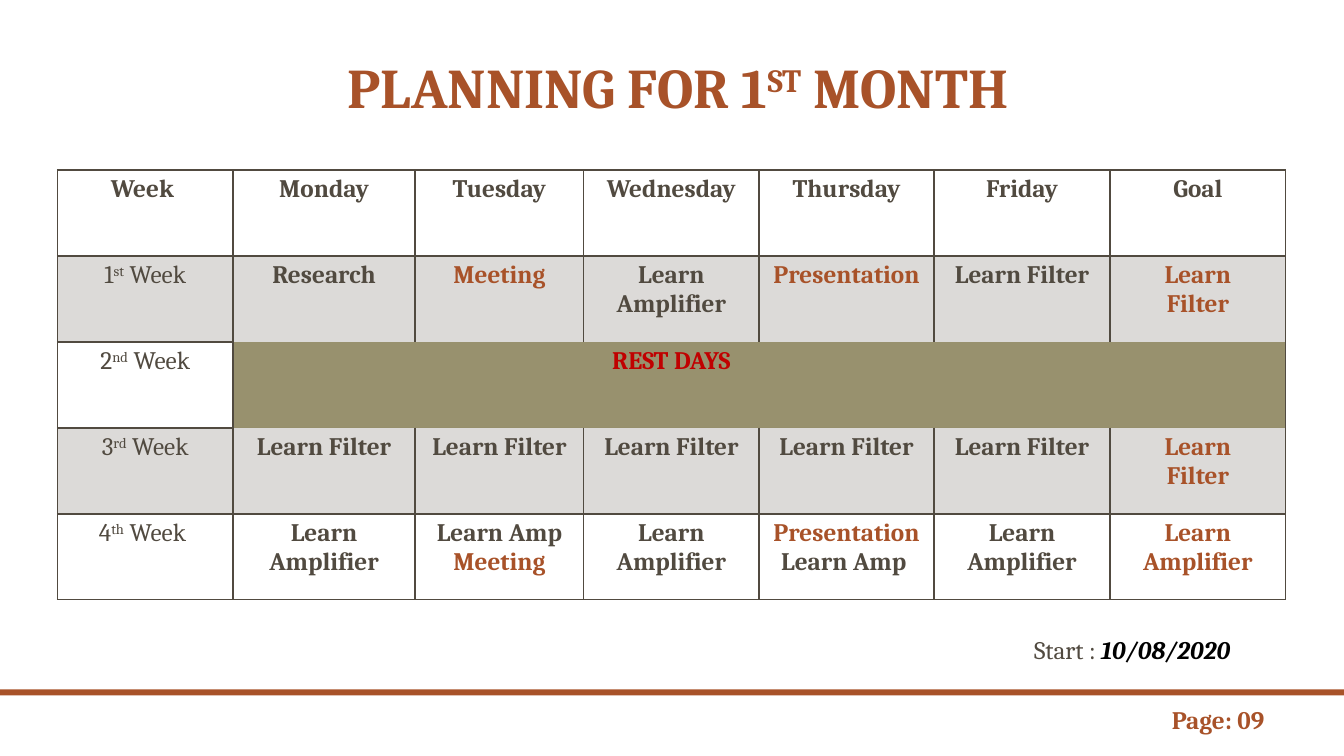
from dataclasses import dataclass

from lxml import etree
from pptx import Presentation
from pptx.dml.color import RGBColor
from pptx.enum.shapes import MSO_SHAPE
from pptx.enum.text import MSO_ANCHOR, PP_ALIGN
from pptx.oxml.ns import qn
from pptx.util import Pt

RECT = MSO_SHAPE.RECTANGLE
CENTER, LEFT = PP_ALIGN.CENTER, PP_ALIGN.LEFT
TOP, BOTTOM = MSO_ANCHOR.TOP, MSO_ANCHOR.BOTTOM


@dataclass(frozen=True)
class Theme:
    font: str = "Cambria"
    ink: str = "514A40"
    accent: str = "A85229"
    olive: str = "98916E"
    red: str = "C00000"
    black: str = "000000"
    title: int = 40
    body: int = 18
    band_alpha: int = 20


THEME = Theme()

COLUMN_WIDTHS = [125.5, 130, 120.5, 125.25, 125, 125.75, 125.5]
ROW_HEIGHT = 61.4
DAYS = ["Week ", "Monday", "Tuesday", "Wednesday", "Thursday", "Friday", "Goal"]
# Week number, ordinal suffix, then the entries; a line break starts a paragraph
WEEKS = [
    ("1", "st", " Week", ["Research", "Meeting", "Learn Amplifier", "Presentation",
                          "Learn Filter", "Learn\nFilter"]),
    ("2", "nd", " Week", ["", "", "REST DAYS", "", "", ""]),
    ("3", "rd", " Week", ["Learn Filter"] * 5 + ["Learn\nFilter"]),
    ("4", "th", " Week ", ["Learn Amplifier", "Learn Amp\nMeeting", "Learn Amplifier",
                           "Presentation\nLearn Amp ", "Learn Amplifier",
                           "Learn\nAmplifier"]),
]
HEADER_ROW, FIRST_ROW, REST_ROW, THIRD_ROW = range(4)
BAND_ROWS = (FIRST_ROW, THIRD_ROW)
GOAL_COL = len(DAYS) - 1
EVENTS = ("Meeting", "Presentation")


def add_run(p, text, color, size=THEME.body, bold=False, italic=False, raised=False):
    r = p.add_run()
    r.text = text
    font = r.font
    font.name, font.size = THEME.font, Pt(size)
    font.bold, font.italic = bold, italic
    font.color.rgb = RGBColor.from_string(color)
    if raised:
        font._element.set("baseline", "30000")


def add_text(slide, left, top, width, height, align=LEFT, anchor=TOP):
    """Add an empty text box and return its first paragraph."""
    tf = slide.shapes.add_textbox(Pt(left), Pt(top), Pt(width), Pt(height)).text_frame
    tf.word_wrap = True
    tf.vertical_anchor = anchor
    p = tf.paragraphs[0]
    p.alignment = align
    return p


def add_bar(slide, left, top, width, height):
    sp = slide.shapes.add_shape(RECT, Pt(left), Pt(top), Pt(width), Pt(height))
    sp.shadow.inherit = False
    sp.fill.solid()
    sp.fill.fore_color.rgb = RGBColor.from_string(THEME.accent)
    sp.line.fill.background()


def fill_cell(cell, row, col):
    if row in BAND_ROWS or (row == REST_ROW and col > 0):
        cell.fill.solid()
        color = THEME.ink if row in BAND_ROWS else THEME.olive
        cell.fill.fore_color.rgb = RGBColor.from_string(color)
    else:
        cell.fill.background()
    if row in BAND_ROWS:
        clr = cell._tc.tcPr.find(".//" + qn("a:srgbClr"))
        etree.SubElement(clr, qn("a:alpha")).set("val", str(THEME.band_alpha * 1000))


def border_widths(row, col):
    """Line widths by side; the rest days form one block without inner lines."""
    widths = {"L": 1, "R": 1, "T": 1, "B": 1}
    if row == HEADER_ROW:
        widths["B"] = 2
    elif col > 0 and row == FIRST_ROW:
        widths["B"] = 0
    elif col > 0 and row == THIRD_ROW:
        widths["T"] = 0
    elif col > 0 and row == REST_ROW:
        widths = {"L": int(col == 1), "R": int(col == GOAL_COL), "T": 0, "B": 0}
    return widths


def draw_borders(cell, widths):
    for i, (side, width) in enumerate(widths.items()):
        ln = etree.Element(qn("a:ln" + side), w=str(Pt(width)))
        if width:
            paint = etree.SubElement(ln, qn("a:solidFill"))
            etree.SubElement(paint, qn("a:srgbClr")).set("val", THEME.ink)
        else:
            etree.SubElement(ln, qn("a:noFill"))
        cell._tc.tcPr.insert(i, ln)


def write_entry(cell, text, row, col):
    tf = cell.text_frame
    for i, line in enumerate(text.split("\n")):
        p = tf.paragraphs[0] if i == 0 else tf.add_paragraph()
        p.alignment = CENTER
        color = THEME.ink
        if row == REST_ROW:
            color = THEME.red
        elif row > HEADER_ROW and (col == GOAL_COL or line in EVENTS):
            color = THEME.accent
        if line:
            add_run(p, line, color, bold=True)


def write_ordinal(p, before, suffix, after, **style):
    p.alignment = CENTER
    add_run(p, before, **style)
    add_run(p, suffix, raised=True, **style)
    add_run(p, after, **style)


def add_plan(slide, left, top):
    rows, cols = len(WEEKS) + 1, len(DAYS)
    table = slide.shapes.add_table(rows, cols, Pt(left), Pt(top), Pt(sum(COLUMN_WIDTHS)),
                                   Pt(ROW_HEIGHT * rows)).table
    table.first_row = table.horz_banding = False
    for col, width in enumerate(COLUMN_WIDTHS):
        table.columns[col].width = Pt(width)
    for row in range(rows):
        table.rows[row].height = Pt(ROW_HEIGHT)
        for col in range(cols):
            cell = table.cell(row, col)
            fill_cell(cell, row, col)
            draw_borders(cell, border_widths(row, col))
            if row == HEADER_ROW:
                write_entry(cell, DAYS[col], row, col)
            elif col == 0:
                write_ordinal(cell.text_frame.paragraphs[0], *WEEKS[row - 1][:3],
                              color=THEME.ink)
            else:
                write_entry(cell, WEEKS[row - 1][3][col - 1], row, col)


def main():
    prs = Presentation()
    prs.slide_width, prs.slide_height = Pt(960), Pt(540)
    slide = prs.slides.add_slide(prs.slide_layouts[6])

    # Footer bar
    add_bar(slide, 0, 492.5, 960, 4.3)

    # Title
    p = add_text(slide, 102, 0, 756, 90, CENTER, BOTTOM)
    p.line_spacing = 0.9
    write_ordinal(p, " PLANNING FOR 1", "ST", " MONTH",
                  color=THEME.accent, size=THEME.title, bold=True)

    # Weekly plan
    add_plan(slide, 41, 121.5)

    # Start date
    p = add_text(slide, 731.5, 449.3, 171.4, 29)
    add_run(p, "Start : ", THEME.ink)
    add_run(p, "10/08/2020", THEME.black, bold=True, italic=True)

    # Page number
    p = add_text(slide, 830, 499.7, 86.4, 29)
    add_run(p, "Page: 09", THEME.accent, bold=True)

    prs.save("out.pptx")


if __name__ == "__main__":
    main()
